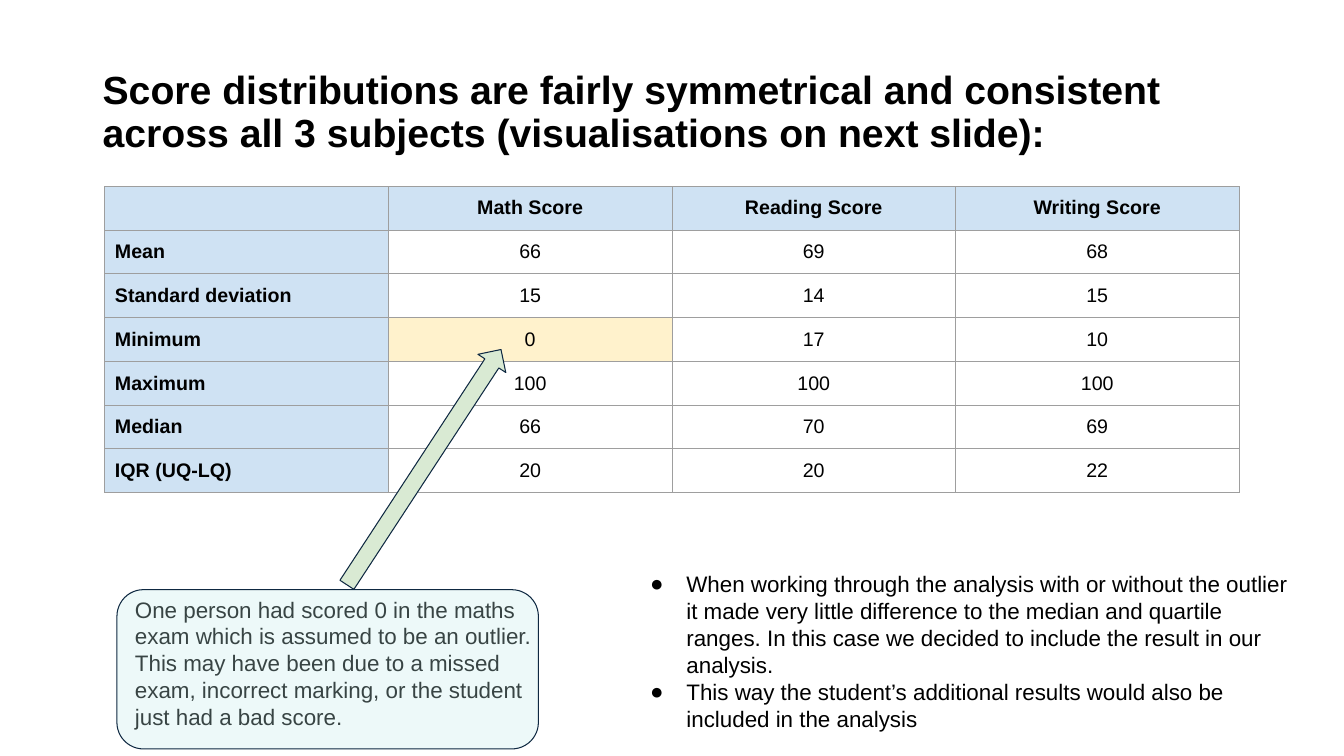
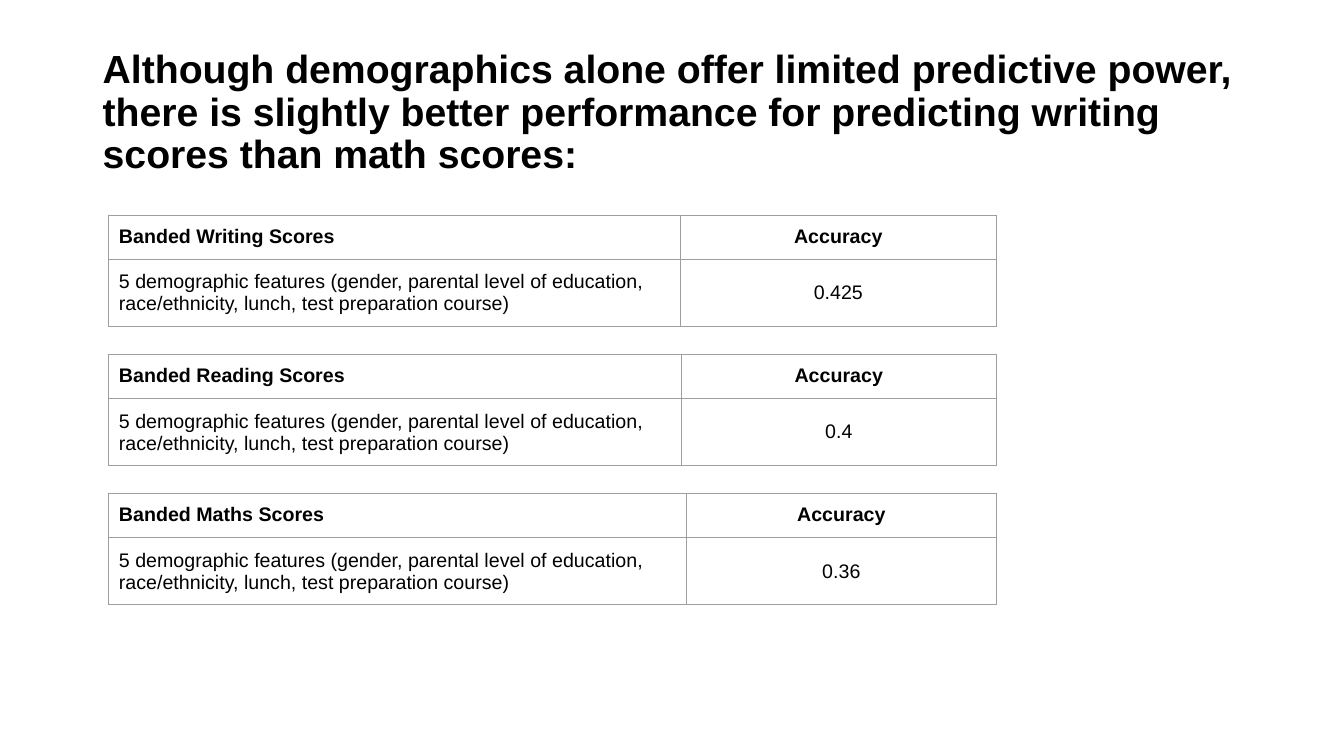
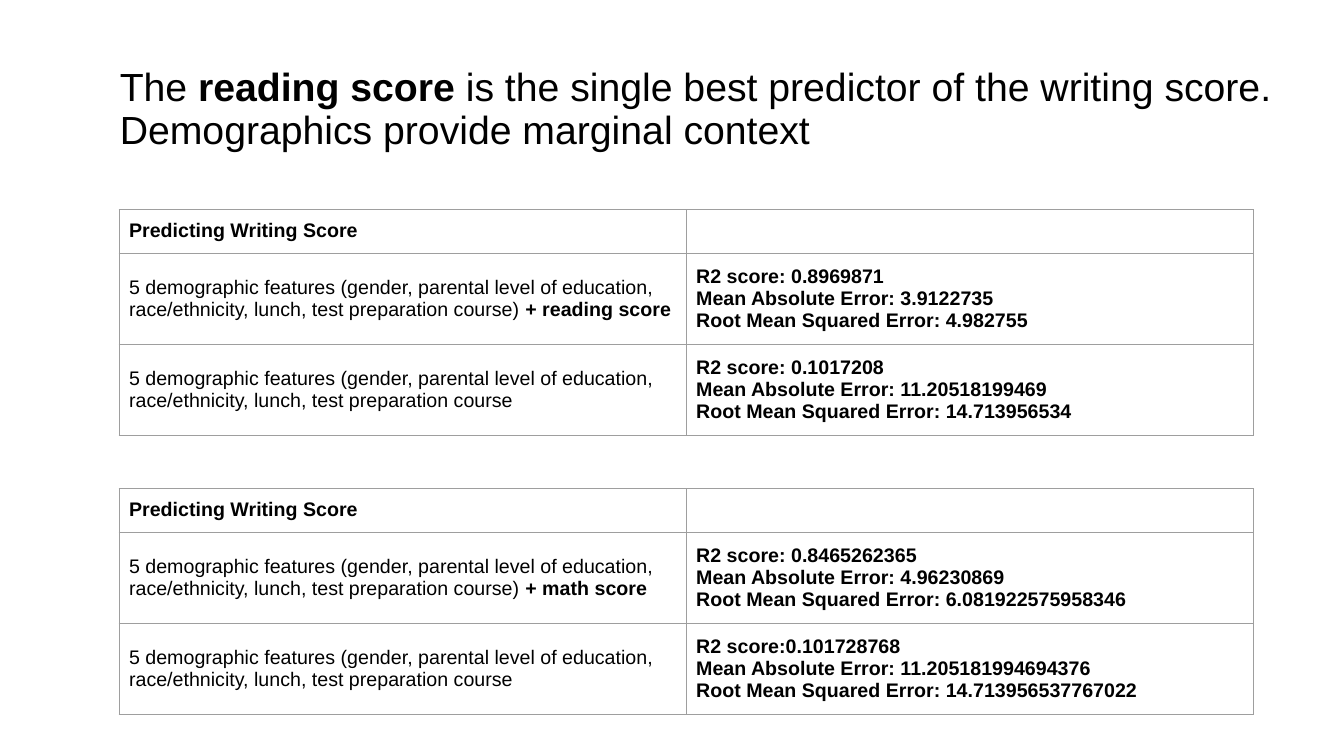
from lxml.etree import SubElement
from pptx import Presentation
from pptx.dml.color import RGBColor
from pptx.enum.shapes import MSO_SHAPE
from pptx.enum.text import MSO_ANCHOR, PP_ALIGN
from pptx.oxml import parse_xml
from pptx.oxml.ns import nsdecls, qn
from pptx.util import Inches, Pt

FONT = "Arial"
BLACK, BORDER, OUTLINE = "000000", "9E9E9E", "0E2841"
HEADING_BLUE, OUTLIER_YELLOW = "CFE2F3", "FFF2CC"
ARROW_GREEN, CALLOUT_TEAL, CALLOUT_OPACITY = "D9EAD3", "C3EDEC", 29
TITLE_SIZE, BODY_SIZE, TABLE_SIZE = 28, 16, 14
HEADER_ROW, TWO_LINE_ROW, THREE_LINE_ROW = 0.42, 0.64, 0.86
TABLE_WIDTH, ACCURACY_WIDTH = 11.25, 8.8

SCORES_TITLE = "**Score distributions are fairly symmetrical and consistent across all 3 subjects (visualisations on next slide):**"
SCORES = [
    ("", "**Math Score**", "**Reading Score**", "**Writing Score**"),
    ("**Mean**", "66", "69", "68"),
    ("**Standard deviation**", "15", "14", "15"),
    ("**Minimum**", "0", "17", "10"),
    ("**Maximum**", "100", "100", "100"),
    ("**Median**", "66", "70", "69"),
    ("**IQR (UQ-LQ)**", "20", "20", "22"),
]
OUTLIER_CELL = (3, 1)
OUTLIER_NOTE = "One person had scored 0 in the maths exam which is assumed to be an outlier. This may have been due to a missed exam, incorrect marking, or the student just had a bad score."
DECISIONS = [
    "When working through the analysis with or without the outlier it made very little difference to the median and quartile ranges. In this case we decided to include the result in our analysis.",
    "This way the student’s additional results would also be included in the analysis",
]

ACCURACY_TITLE = "**Although demographics alone offer limited predictive power, there is slightly better performance for predicting writing scores than math scores:**"
DEMOGRAPHICS = "5 demographic features (gender, parental level of education, race/ethnicity, lunch, test preparation course"
ACCURACIES = [
    ("Banded Writing Scores", "0.425", 5.67),
    ("Banded Reading Scores", "0.4", 5.68),
    ("Banded Maths Scores", "0.36", 5.73),
]

PREDICTOR_TITLE = "The **reading score **is the single best predictor of the writing score. Demographics provide marginal context"
METRICS = ("R2 score:", "Mean Absolute Error:", "Root Mean Squared Error:")
PREDICTIONS = [
    ("reading", (" 0.8969871", " 3.9122735", " 4.982755"),
     (" 0.1017208", " 11.20518199469", " 14.713956534")),
    ("math", (" 0.8465262365", " 4.96230869", " 6.081922575958346"),
     ("0.101728768", " 11.205181994694376", " 14.713956537767022")),
]


def color(value):
    return RGBColor.from_string(value)


def write(text_frame, lines, size, alignment=PP_ALIGN.LEFT):
    for number, line in enumerate(lines):
        paragraph = text_frame.add_paragraph() if number else text_frame.paragraphs[0]
        paragraph.alignment = alignment
        for index, piece in enumerate(line.split("**")):
            if piece:
                run = paragraph.add_run()
                run.text = piece
                run.font.name = FONT
                run.font.size = Pt(size)
                run.font.bold = index % 2 == 1
                run.font.color.rgb = color(BLACK)
        if not line:
            SubElement(paragraph._p, qn("a:endParaRPr"), sz=str(size * 100))


def add_text(slide, box, lines, size, vertical_inset=0.1):
    text_frame = slide.shapes.add_textbox(*map(Inches, box)).text_frame
    text_frame.word_wrap = True
    text_frame.margin_left = text_frame.margin_right = Inches(0.1)
    text_frame.margin_top = text_frame.margin_bottom = Inches(vertical_inset)
    write(text_frame, lines, size)
    return text_frame


def add_titled_slide(presentation, title, box):
    slide = presentation.slides.add_slide(presentation.slide_layouts[6])
    text_frame = add_text(slide, box, [title], TITLE_SIZE, 0.05)
    text_frame.vertical_anchor = MSO_ANCHOR.MIDDLE
    text_frame.paragraphs[0].line_spacing = 0.9
    return slide


def add_borders(cell):
    properties = cell._tc.get_or_add_tcPr()
    for index, side in enumerate(("lnL", "lnR", "lnT", "lnB")):
        properties.insert(index, parse_xml(
            f'<a:{side} {nsdecls("a")} w="{Pt(0.75)}"><a:solidFill>'
            f'<a:srgbClr val="{BORDER}"/></a:solidFill></a:{side}>'))


def add_table(slide, left, top, widths, heights, rows, centered=True):
    box = map(Inches, (left, top, sum(widths), sum(heights)))
    table = slide.shapes.add_table(len(rows), len(widths), *box).table
    table.first_row = table.horz_banding = False
    for column, width in zip(table.columns, widths):
        column.width = Inches(width)
    for row_index, (height, texts) in enumerate(zip(heights, rows)):
        table.rows[row_index].height = Inches(height)
        for column_index, text in enumerate(texts):
            cell = table.cell(row_index, column_index)
            cell.margin_left = cell.margin_right = Inches(0.1)
            cell.margin_top = cell.margin_bottom = Inches(0.1)
            cell.vertical_anchor = MSO_ANCHOR.MIDDLE if row_index else MSO_ANCHOR.TOP
            cell.fill.background()
            add_borders(cell)
            alignment = PP_ALIGN.CENTER if centered and column_index else PP_ALIGN.LEFT
            write(cell.text_frame, text.split("\n"), TABLE_SIZE, alignment)
    return table


def add_outlined_shape(slide, kind, box, fill):
    shape = slide.shapes.add_shape(kind, *map(Inches, box))
    shape.shadow.inherit = False
    shape.fill.solid()
    shape.fill.fore_color.rgb = color(fill)
    shape.line.color.rgb = color(OUTLINE)
    shape.line.width = Pt(0.75)
    return shape


def add_bullets(text_frame):
    for paragraph in text_frame.paragraphs:
        properties = paragraph._p.get_or_add_pPr()
        properties.set("marL", str(Inches(0.5)))
        properties.set("indent", str(-Inches(0.36)))
        bullet_color = SubElement(properties, qn("a:buClr"))
        SubElement(bullet_color, qn("a:srgbClr"), val=BLACK)
        SubElement(properties, qn("a:buFont"), typeface=FONT)
        SubElement(properties, qn("a:buChar"), char="●")


def build_scores(presentation):
    slide = add_titled_slide(presentation, SCORES_TITLE, (0.92, 0.4, 11.5, 1.45))
    columns, rows = len(SCORES[0]), len(SCORES)
    table = add_table(slide, 1.04, 1.85, [TABLE_WIDTH / columns] * columns,
                      [HEADER_ROW] * rows, SCORES)
    headings = [(0, column) for column in range(columns)] + [(row, 0) for row in range(1, rows)]
    for position in headings + [OUTLIER_CELL]:
        fill = table.cell(*position).fill
        fill.solid()
        fill.fore_color.rgb = color(OUTLIER_YELLOW if position == OUTLIER_CELL else HEADING_BLUE)
    add_bullets(add_text(slide, (6.21, 5.56, 6.8, 1.79), DECISIONS, BODY_SIZE))
    arrow = add_outlined_shape(slide, MSO_SHAPE.RIGHT_ARROW, (2.81, 4.47, 2.79, 0.33), ARROW_GREEN)
    arrow.rotation = 303.2
    add_text(slide, (1.24, 5.81, 4.25, 1.34), [OUTLIER_NOTE], BODY_SIZE)
    callout = add_outlined_shape(slide, MSO_SHAPE.ROUNDED_RECTANGLE,
                                 (1.16, 5.85, 4.18, 1.58), CALLOUT_TEAL)
    fill_color = callout._element.spPr.find(qn("a:solidFill"))[0]
    SubElement(fill_color, qn("a:alpha"), val=str(CALLOUT_OPACITY * 1000))


def build_accuracies(presentation):
    slide = add_titled_slide(presentation, ACCURACY_TITLE, (0.92, 0.4, 11.82, 1.45))
    heights = [HEADER_ROW, TWO_LINE_ROW]
    for index, (heading, accuracy, width) in enumerate(ACCURACIES):
        rows = [(f"**{heading}**", "**Accuracy**"), (DEMOGRAPHICS + ")", accuracy)]
        add_table(slide, 1.08, 2.14 + index * (sum(heights) + 0.32),
                  [width, ACCURACY_WIDTH - width], heights, rows)


def build_predictions(presentation):
    slide = add_titled_slide(presentation, PREDICTOR_TITLE, (1.09, 0.37, 12.24, 1.45))
    heights = [HEADER_ROW, THREE_LINE_ROW, THREE_LINE_ROW]
    for index, (subject, *results) in enumerate(PREDICTIONS):
        features = (f"{DEMOGRAPHICS}) **+ {subject} score**", DEMOGRAPHICS)
        rows = [("**Predicting Writing Score**", "")]
        for feature, values in zip(features, results):
            lines = [f"**{metric}{value}**" for metric, value in zip(METRICS, values)]
            rows.append((feature, "\n".join(lines)))
        add_table(slide, 1.18, 2.08 + index * (sum(heights) + 0.63),
                  [TABLE_WIDTH / 2] * 2, heights, rows, centered=False)


def main():
    presentation = Presentation()
    presentation.slide_width, presentation.slide_height = Inches(13.33), Inches(7.5)
    build_scores(presentation)
    build_accuracies(presentation)
    build_predictions(presentation)
    presentation.save("out.pptx")


if __name__ == "__main__":
    main()
